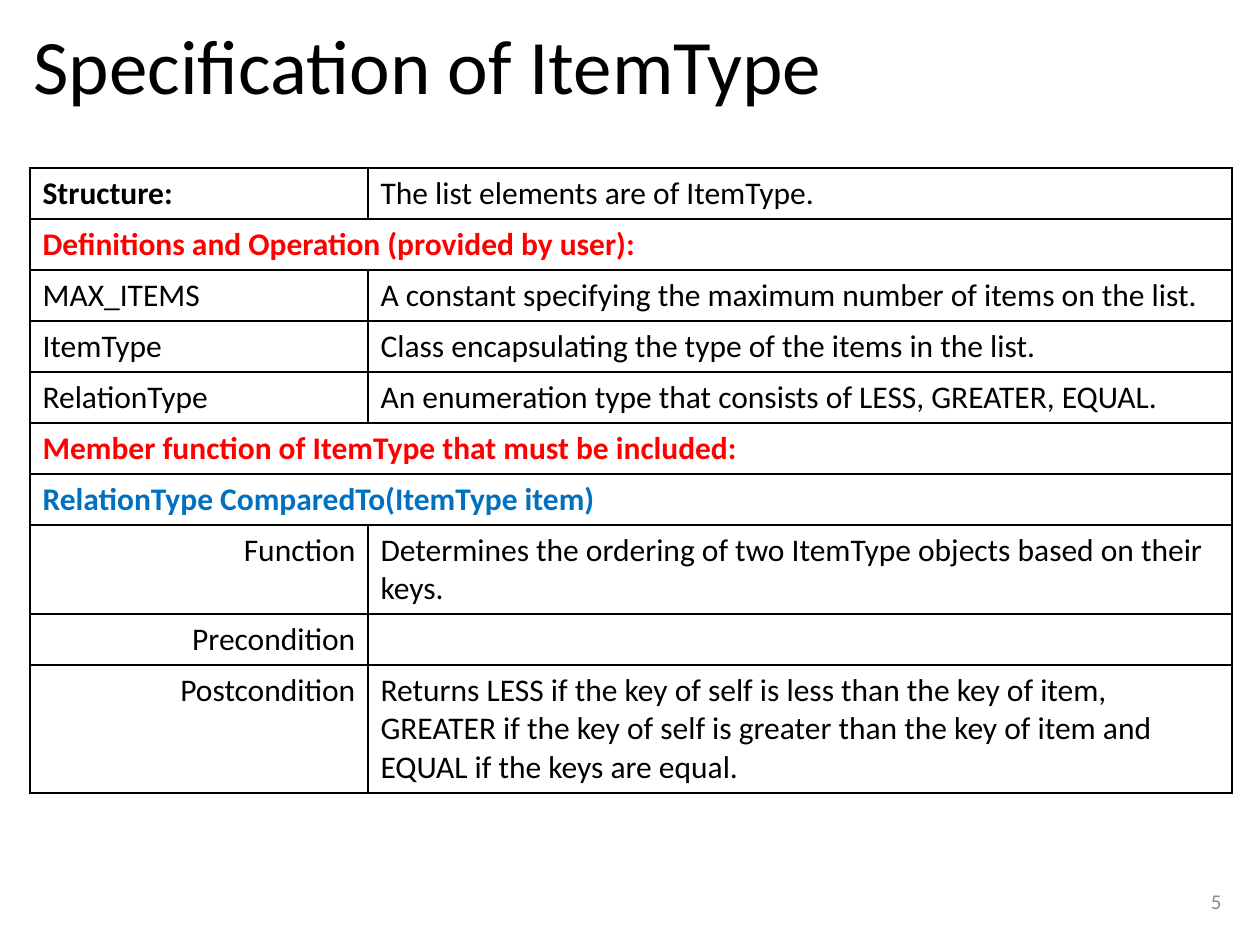
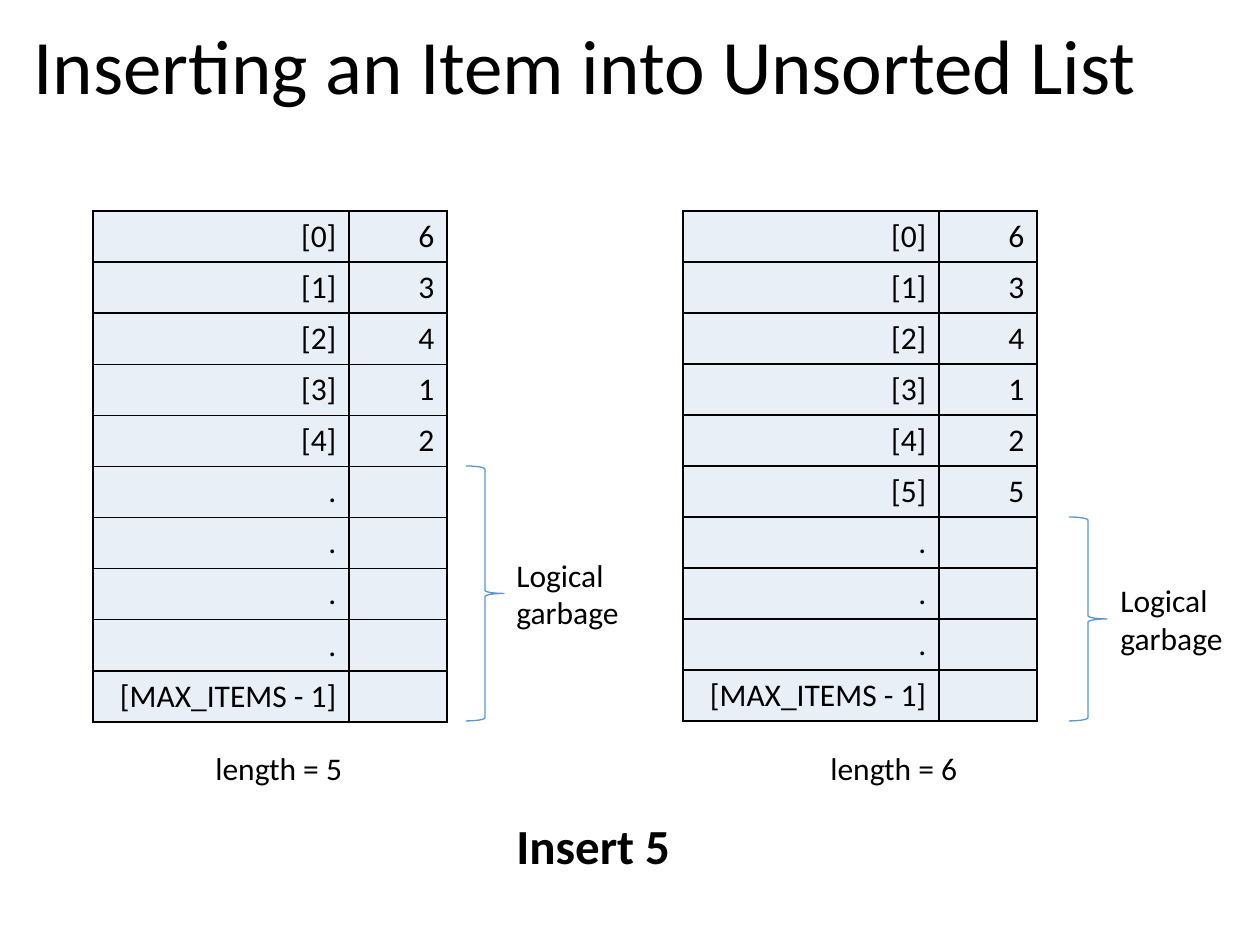
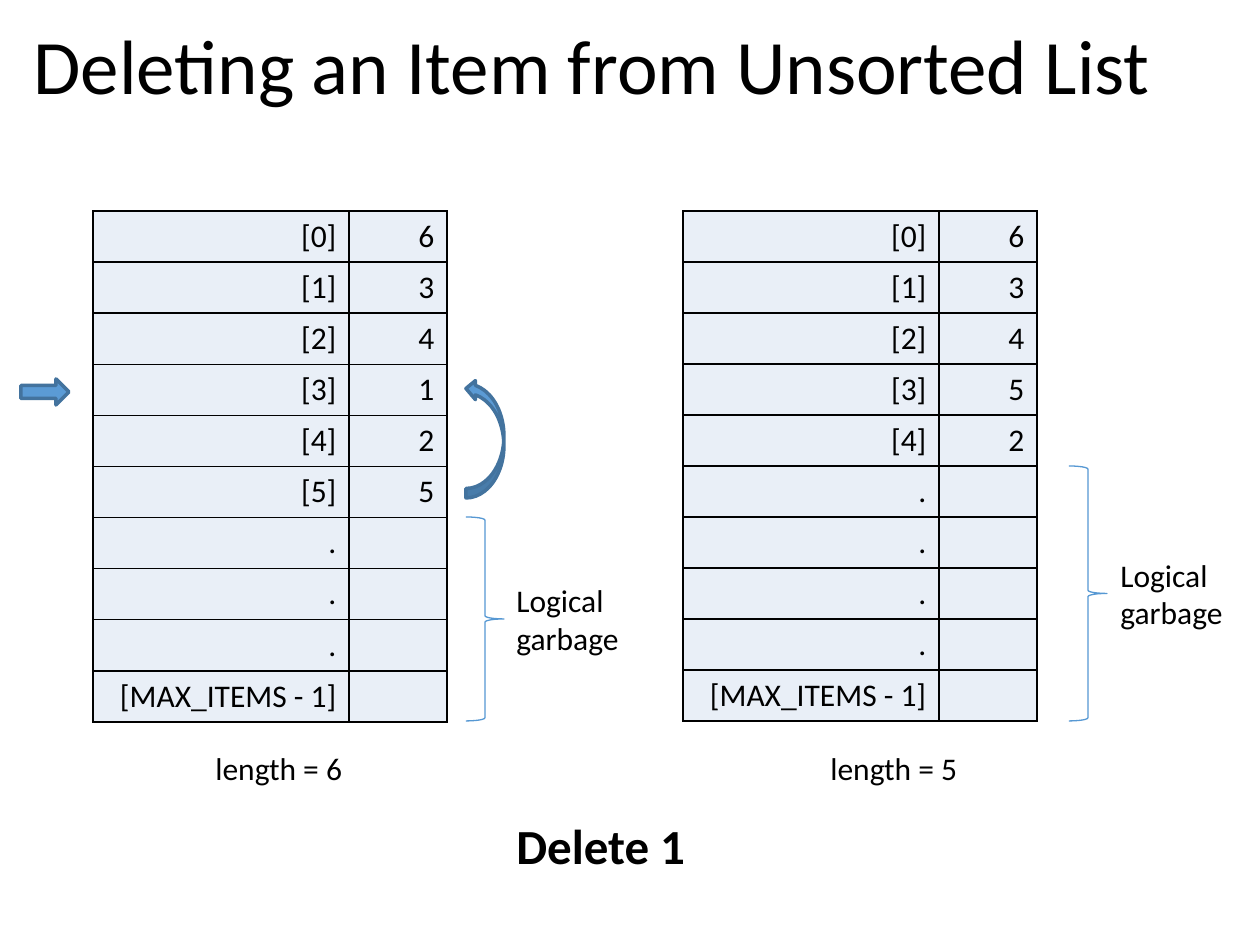
"""Build three slides on an unsorted list: its item type, an insertion and a deletion."""
from lxml.etree import SubElement
from pptx import Presentation
from pptx.dml.color import RGBColor
from pptx.enum.shapes import MSO_SHAPE as SHAPE
from pptx.enum.text import MSO_ANCHOR as ANCHOR, MSO_AUTO_SIZE as AUTO, PP_ALIGN as ALIGN
from pptx.oxml.ns import qn
from pptx.util import Emu, Pt

SCALE = 914400 / 126
FONT = "Calibri"
BLACK = RGBColor(0x00, 0x00, 0x00)
RED = RGBColor(0xFF, 0x00, 0x00)
BLUE = RGBColor(0x00, 0x70, 0xC0)
GREY = RGBColor(0x8B, 0x8B, 0x8B)
PALE = RGBColor(0xE9, 0xEF, 0xF7)
BRACE = RGBColor(0x56, 0x98, 0xD3)
ARROW = RGBColor(0x5B, 0x9B, 0xD5)
ARROW_EDGE = RGBColor(0x43, 0x73, 0x9E)

TITLE_BOX = (21, 23, 1212, 93)
NUMBER_BOX = (950, 876, 284, 50)
ACTION_BOX = (504, 809, 198, 72)
ROW_H = 51
LIST_TOP, LIST_COLS, LIST_ROWS = 211, (256, 98), 10
SPEC_LEFT, SPEC_TOP, SPEC_COLS = 30, 168, (338, 864)

HEAD = {"bold": True, "color": RED}
RIGHT = {"align": ALIGN.RIGHT}
SPEC = [
    ("Structure:", {"bold": True}, "The list elements are of ItemType.", 51),
    ("Definitions and Operation (provided by user):", HEAD, None, 51),
    ("MAX_ITEMS", {}, "A constant specifying the maximum number of items on the list.", 51),
    ("ItemType", {}, "Class encapsulating the type of the items in the list.", 51),
    ("RelationType", {}, "An enumeration type that consists of LESS, GREATER, EQUAL.", 51),
    ("Member function of ItemType that must be included:", HEAD, None, 51),
    ("RelationType ComparedTo(ItemType item)", {"bold": True, "color": BLUE}, None, 51),
    ("Function", RIGHT,
     "Determines the ordering of two ItemType objects based on their keys.", 89),
    ("Precondition", RIGHT, "", 51),
    ("Postcondition", RIGHT,
     "Returns LESS if the key of self is less than the key of item, GREATER if the key of "
     "self is greater than the key of item and\nEQUAL if the keys are equal.", 128),
]
SIDES = [
    {"table": 93, "brace": 466, "label": 504, "length": 203},
    {"table": 683, "brace": 1069, "label": 1108, "length": 818},
]
CHANGES = [
    ("Inserting an Item into Unsorted List", "Insert 5", [[6, 3, 4, 1, 2], [6, 3, 4, 1, 2, 5]]),
    ("Deleting an Item from Unsorted List", "Delete 1", [[6, 3, 4, 1, 2, 5], [6, 3, 4, 5, 2]]),
]


def px(*values):
    return [Emu(round(v * SCALE)) for v in values]


def put_text(tf, text, size=18, color=BLACK, bold=False, align=ALIGN.LEFT, spacing=None):
    for i, line in enumerate(text.split("\n")):
        p = tf.add_paragraph() if i else tf.paragraphs[0]
        p.alignment = align
        p.line_spacing = spacing
        p.font.size = Pt(size)
        if line:
            r = p.add_run()
            r.text = line
            r.font.name, r.font.size, r.font.bold = FONT, Pt(size), bold
            r.font.color.rgb = color


def add_text(s, box, text, anchor=ANCHOR.TOP, **fmt):
    tf = s.shapes.add_textbox(*px(*box)).text_frame
    tf.word_wrap = True
    tf.vertical_anchor = anchor
    put_text(tf, text, **fmt)


def add_slide(title):
    s = prs.slides.add_slide(prs.slide_layouts[5])
    sp = s.shapes.title
    sp.left, sp.top, sp.width, sp.height = px(*TITLE_BOX)
    tf = sp.text_frame
    tf.auto_size, tf.word_wrap, tf.vertical_anchor = AUTO.NONE, True, ANCHOR.MIDDLE
    put_text(tf, title, size=44, spacing=0.9)
    return s


def style_cell(cell, fill):
    if fill is None:
        cell.fill.background()
    else:
        cell.fill.solid()
        cell.fill.fore_color.rgb = fill
    tc_pr = cell._tc.get_or_add_tcPr()
    for i, side in enumerate(("a:lnL", "a:lnR", "a:lnT", "a:lnB")):
        ln = SubElement(tc_pr, qn(side), w="12192")
        SubElement(SubElement(ln, qn("a:solidFill")), qn("a:srgbClr"), val=str(BLACK))
        tc_pr.insert(i, ln)


def add_grid(s, left, top, cols, heights, fill=None):
    box = px(left, top, sum(cols), sum(heights))
    table = s.shapes.add_table(len(heights), len(cols), *box).table
    table.first_row = table.horz_banding = False
    for col, w in zip(table.columns, px(*cols)):
        col.width = w
    for row, h in zip(table.rows, px(*heights)):
        row.height = h
    for cell in table.iter_cells():
        style_cell(cell, fill)
    return table


def add_shape(s, kind, box, line, width, fill=None):
    sp = s.shapes.add_shape(kind, *px(*box))
    sp.shadow.inherit = False
    sp.line.color.rgb, sp.line.width = line, Pt(width)
    if fill is None:
        sp.fill.background()
    else:
        sp.fill.solid()
        sp.fill.fore_color.rgb = fill
    return sp


def add_list(s, side, items):
    table = add_grid(s, side["table"], LIST_TOP, LIST_COLS, [ROW_H] * LIST_ROWS, PALE)
    used = len(items)
    names = [f"[{i}]" for i in range(used)] + ["."] * (LIST_ROWS - used - 1) + ["[MAX_ITEMS - 1]"]
    values = [str(v) for v in items] + [""] * (LIST_ROWS - used)
    for i, pair in enumerate(zip(names, values)):
        for j, text in enumerate(pair):
            put_text(table.cell(i, j).text_frame, text, align=ALIGN.RIGHT)
    top, height = LIST_TOP + used * ROW_H, (LIST_ROWS - used) * ROW_H
    add_shape(s, SHAPE.RIGHT_BRACE, (side["brace"], top, 38, height), BRACE, 0.75)
    add_text(s, (side["label"], top + height / 2 - 44, 141, 88), "Logical garbage")
    add_text(s, (side["length"], 743, 173, 50), f"length = {used}")


prs = Presentation()
prs.slide_width, prs.slide_height = px(1260, 945)

s = add_slide("Specification of ItemType")
add_text(s, NUMBER_BOX, "5", anchor=ANCHOR.MIDDLE, size=12, color=GREY, align=ALIGN.RIGHT)
table = add_grid(s, SPEC_LEFT, SPEC_TOP, SPEC_COLS, [row[3] for row in SPEC])
for i, (name, fmt, meaning, _) in enumerate(SPEC):
    put_text(table.cell(i, 0).text_frame, name, **fmt)
    if meaning is None:
        table.cell(i, 0).merge(table.cell(i, 1))
    else:
        put_text(table.cell(i, 1).text_frame, meaning)

for title, action, lists in CHANGES:
    s = add_slide(title)
    for side, items in zip(SIDES, lists):
        add_list(s, side, items)
    add_text(s, ACTION_BOX, action, size=28, bold=True)

curve = add_shape(s, SHAPE.CURVED_LEFT_ARROW, (466, 379, 38, 119), ARROW_EDGE, 2, ARROW)
curve._element.spPr.xfrm.set("flipV", "1")
add_shape(s, SHAPE.RIGHT_ARROW, (21, 379, 48, 26), ARROW_EDGE, 2, ARROW)

prs.save("out.pptx")
